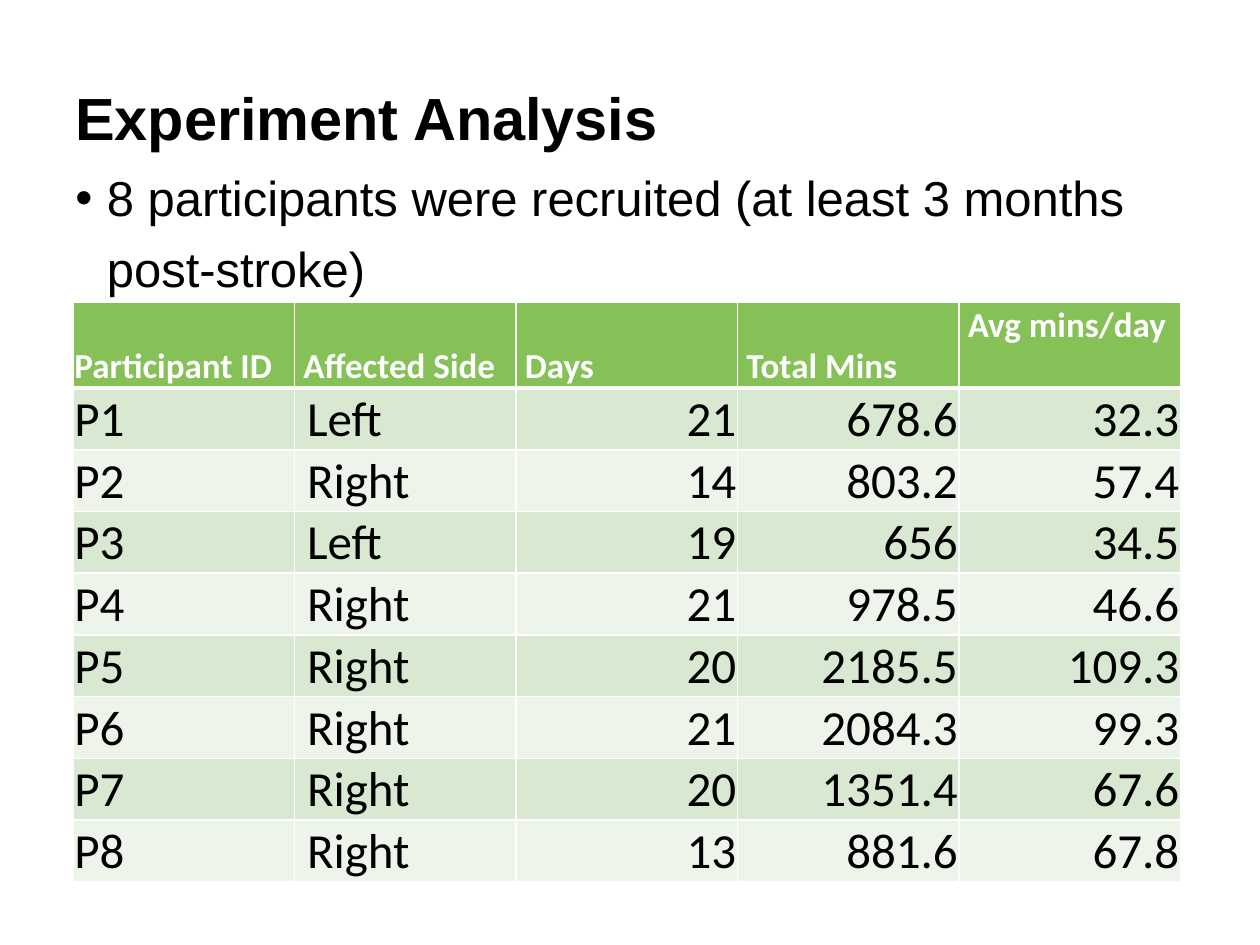
from lxml import etree
from pptx import Presentation
from pptx import util as u
from pptx.dml import color
from pptx.enum import text
from pptx.oxml import ns

W, H = 10, 7.5
LEFT = 0.05 * W
COL_W, HEAD_H, ROW_H = 1.758, 0.68, 0.49
WHITE, BLACK, GREEN = "FFFFFF", "000000", "86C157"
BANDS = ("D9E9D1", "EDF4EA")
HEAD = ["Participant ID", "Affected Side", "Days", "Total Mins", "Avg mins/day"]
ROWS = [
    ["P1", "Left", "21", "678.6", "32.3"],
    ["P2", "Right", "14", "803.2", "57.4"],
    ["P3", "Left", "19", "656", "34.5"],
    ["P4", "Right", "21", "978.5", "46.6"],
    ["P5", "Right", "20", "2185.5", "109.3"],
    ["P6", "Right", "21", "2084.3", "99.3"],
    ["P7", "Right", "20", "1351.4", "67.6"],
    ["P8", "Right", "13", "881.6", "67.8"],
]


def rgb(value):
    return color.RGBColor.from_string(value)


def style(p, size, name, value, bold=False):
    f = p.runs[0].font
    f.size, f.name, f.bold = u.Pt(size), name, bold
    f.color.rgb = rgb(value)


prs = Presentation()
prs.slide_width, prs.slide_height = u.Inches(W), u.Inches(H)
s = prs.slides.add_slide(prs.slide_layouts[6])

# Title
sp = s.shapes.add_textbox(u.Inches(LEFT), u.Inches(-0.12), u.Inches(9.16), u.Inches(2.16))
tf = sp.text_frame
tf.word_wrap = True
tf.vertical_anchor = text.MSO_ANCHOR.MIDDLE
tf.text = "Experiment Analysis"
p = tf.paragraphs[0]
p.line_spacing = 0.9
style(p, 34, "Arial", BLACK, True)

# Bullet
sp = s.shapes.add_textbox(u.Inches(LEFT), u.Inches(1.19), u.Inches(0.9 * W), u.Inches(1.49))
tf = sp.text_frame
tf.word_wrap = True
tf.text = "8 participants were recruited (at least 3 months post-stroke)"
p = tf.paragraphs[0]
p.line_spacing = 1.2
pPr = p._p.get_or_add_pPr()
pPr.set("marL", str(u.Inches(0.25)))
pPr.set("indent", str(u.Inches(-0.25)))
etree.SubElement(pPr, ns.qn("a:buFont"), typeface="Arial")
etree.SubElement(pPr, ns.qn("a:buChar"), char="•")
style(p, 28, "Arial", BLACK)

# Participant table
table_rows = [HEAD] + ROWS
sp = s.shapes.add_table(len(table_rows), len(HEAD), u.Inches(0.58), u.Inches(2.4),
                        u.Inches(COL_W * len(HEAD)), u.Inches(HEAD_H + ROW_H * len(ROWS)))
tbl = sp.table
for col in tbl.columns:
    col.width = u.Inches(COL_W)

for i, values in enumerate(table_rows):
    head = i == 0
    tbl.rows[i].height = u.Inches(HEAD_H if head else ROW_H)
    for j, value in enumerate(values):
        cell = tbl.cell(i, j)
        cell.text = value
        cell.margin_top = cell.margin_right = u.Inches(0.01)
        cell.margin_bottom = 0
        indent = 0 if j == 0 else 0.06 if head else 0.09
        cell.margin_left = u.Inches(0.01 + indent)
        top = head and j == len(HEAD) - 1
        cell.vertical_anchor = text.MSO_ANCHOR.TOP if top else text.MSO_ANCHOR.BOTTOM
        p = cell.text_frame.paragraphs[0]
        if not head and j > 1:
            p.alignment = text.PP_ALIGN.RIGHT
        style(p, 20 if head else 28, "Calibri", WHITE if head else BLACK, head)

        # White rules, heavier under the header
        tcPr = cell._tc.get_or_add_tcPr()
        for side in "LRTB":
            heavy = (side == "B" and i == 0) or (side == "T" and i == 1)
            ln = etree.SubElement(tcPr, ns.qn("a:ln" + side), w=str(u.Pt(3 if heavy else 1)))
            fill = etree.SubElement(ln, ns.qn("a:solidFill"))
            etree.SubElement(fill, ns.qn("a:srgbClr"), val=WHITE)
        cell.fill.solid()
        cell.fill.fore_color.rgb = rgb(GREEN if head else BANDS[(i - 1) % 2])

prs.save("out.pptx")
